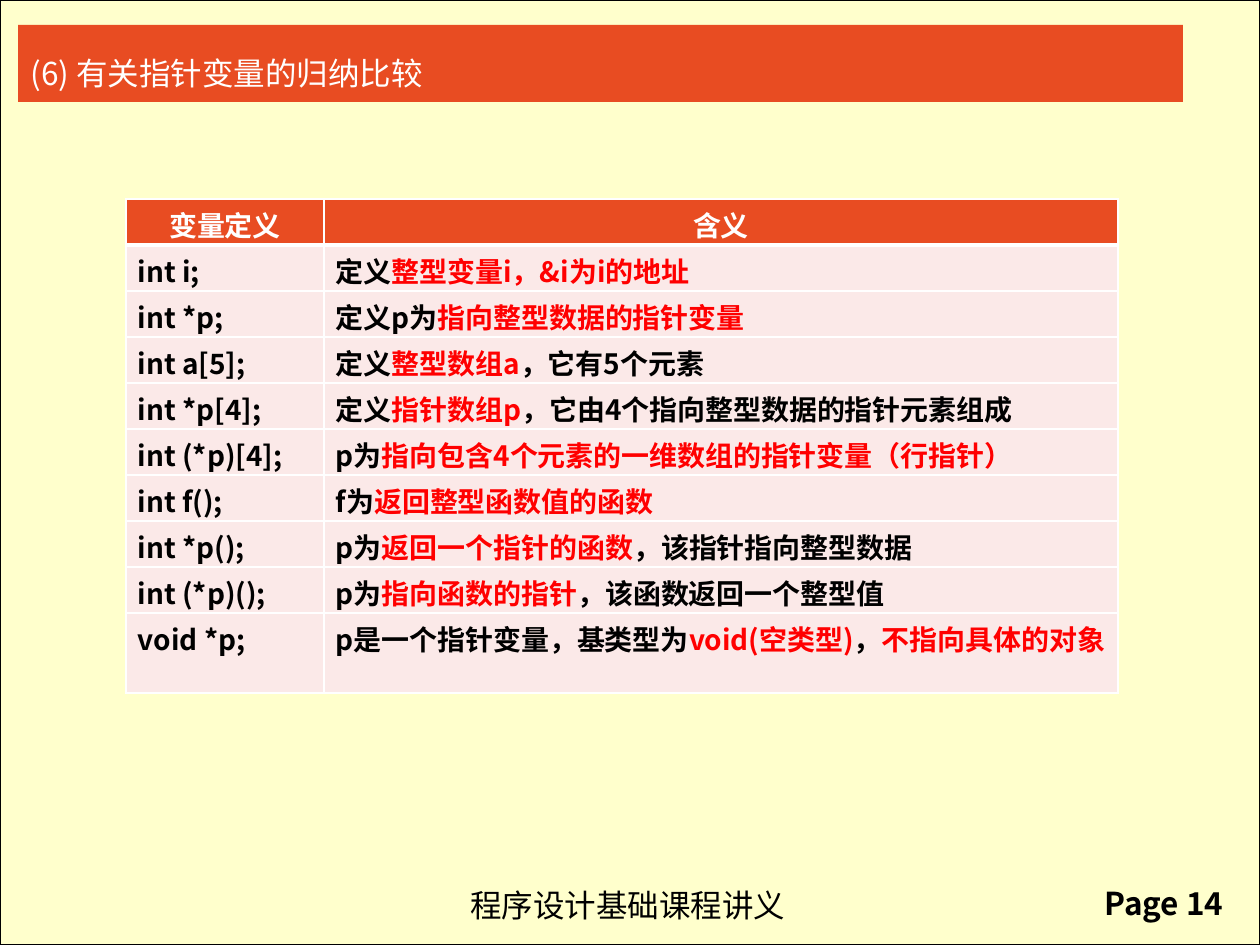
from lxml import etree
from pptx import Presentation
from pptx import util as u
from pptx.dml import color
from pptx.enum import shapes, text
from pptx.oxml import ns

FONT = "Noto Sans CJK SC"
ORANGE, PINK, WHITE, BLACK, RED = "E84C22", "FBE9E8", "FFFFFF", "000000", "FF0000"
ROWS = [
    ("int i;", ["定义", "*整型变量i，&i为i的地址"]),
    ("int *p;", ["定义p为", "*指向整型数据的指针变量"]),
    ("int a[5];", ["定义", "*整型数组a", "，它有5个元素"]),
    ("int *p[4];", ["定义", "*指针数组p", "，它由4个指向整型数据的指针元素组成"]),
    ("int (*p)[4];", ["p为", "*指向包含4个元素的一维数组的指针变量（行指针）"]),
    ("int f();", ["f为", "*返回整型函数值的函数"]),
    ("int *p();", ["p为", "*返回一个指针的函数", "，该指针指向整型数据"]),
    ("int (*p)();", ["p为", "*指向函数的指针", "，该函数返回一个整型值"]),
    ("void *p;", ["p是一个指针变量，基类型为", "*void(空类型)", "，", "*不指向具体的对象"]),
]


def px(n):
    """Turn px into EMU."""
    return u.Emu(n * 914400 // 126)


def rgb(code):
    """Turn a hex string into a colour."""
    return color.RGBColor.from_string(code)


def add_run(para, words, size, ink, bold=False, font=FONT):
    """Add one styled run."""
    run = para.add_run()
    run.text = words
    run.font.size, run.font.bold, run.font.name = u.Pt(size), bold, font
    run.font.color.rgb = rgb(ink)
    east = etree.SubElement(run.font._element, ns.qn("a:ea"))
    east.set("typeface", FONT)


def add_rect(slide, box, fill, line=None):
    """Add a flat rectangle."""
    rect = slide.shapes.add_shape(shapes.MSO_SHAPE.RECTANGLE, *map(px, box))
    rect.shadow.inherit = False
    rect.fill.solid()
    rect.fill.fore_color.rgb = rgb(fill)
    if line:
        rect.line.color.rgb = rgb(line)
        rect.line.width = u.Pt(0.75)
    else:
        rect.line.fill.background()
    return rect


def add_label(slide, box, words, bold, font):
    """Add one line of footer text."""
    frame = slide.shapes.add_textbox(*map(px, box)).text_frame
    frame.word_wrap = False
    add_run(frame.paragraphs[0], words, 18, BLACK, bold, font)


def add_title(slide):
    """Add the title bar."""
    bar = add_rect(slide, (18, 25, 1165, 77), ORANGE)
    bar.text_frame.vertical_anchor = text.MSO_ANCHOR.MIDDLE
    para = bar.text_frame.paragraphs[0]
    para.alignment = text.PP_ALIGN.LEFT
    para.line_spacing = 1.5
    add_run(para, "(6) 有关指针变量的归纳比较", 18, WHITE)


def set_edge(cell, side, width):
    """Draw one white cell border."""
    props = cell._tc.get_or_add_tcPr()
    line = etree.Element(ns.qn("a:" + side), w=str(u.Pt(width)))
    fill = etree.SubElement(line, ns.qn("a:solidFill"))
    etree.SubElement(fill, ns.qn("a:srgbClr"), val=WHITE)
    props.append(line)


def fill_cell(cell, parts, row):
    """Style a cell and write its runs, red where starred."""
    head = row == 0
    cell.margin_left = cell.margin_right = px(12)
    cell.margin_top, cell.margin_bottom = px(5), 0
    widths = {"lnL": 1, "lnR": 1, "lnT": 3 if row == 1 else 1, "lnB": 3 if head else 1}
    for side, width in widths.items():
        set_edge(cell, side, width)
    cell.fill.solid()
    cell.fill.fore_color.rgb = rgb(ORANGE if head else PINK)
    para = cell.text_frame.paragraphs[0]
    para.alignment = text.PP_ALIGN.CENTER if head else text.PP_ALIGN.LEFT
    for part in parts:
        ink = WHITE if head else RED if part[0] == "*" else BLACK
        add_run(para, part.removeprefix("*"), 16, ink, True)


def add_grid(slide):
    """Add the table of definitions."""
    rows = [("变量定义", ["含义"])] + ROWS
    grid = slide.shapes.add_table(len(rows), 2, px(126), px(199), px(992), px(496)).table
    grid.columns[0].width, grid.columns[1].width = px(198), px(794)
    for i, (code, parts) in enumerate(rows):
        grid.rows[i].height = px(80 if i == len(ROWS) else 46)
        fill_cell(grid.cell(i, 0), [code], i)
        fill_cell(grid.cell(i, 1), parts, i)


def main():
    """Build the slide."""
    deck = Presentation()
    deck.slide_width, deck.slide_height = px(1260), px(945)
    slide = deck.slides.add_slide(deck.slide_layouts[6])
    add_rect(slide, (0, 0, 1260, 945), "FFFFCC", BLACK)
    add_label(slide, (458, 880, 344, 50), "程序设计基础课程讲义", False, "Arial")
    add_label(slide, (1092, 878, 161, 50), "Page 14", True, FONT)
    add_title(slide)
    add_grid(slide)
    deck.save("out.pptx")


if __name__ == "__main__":
    main()
